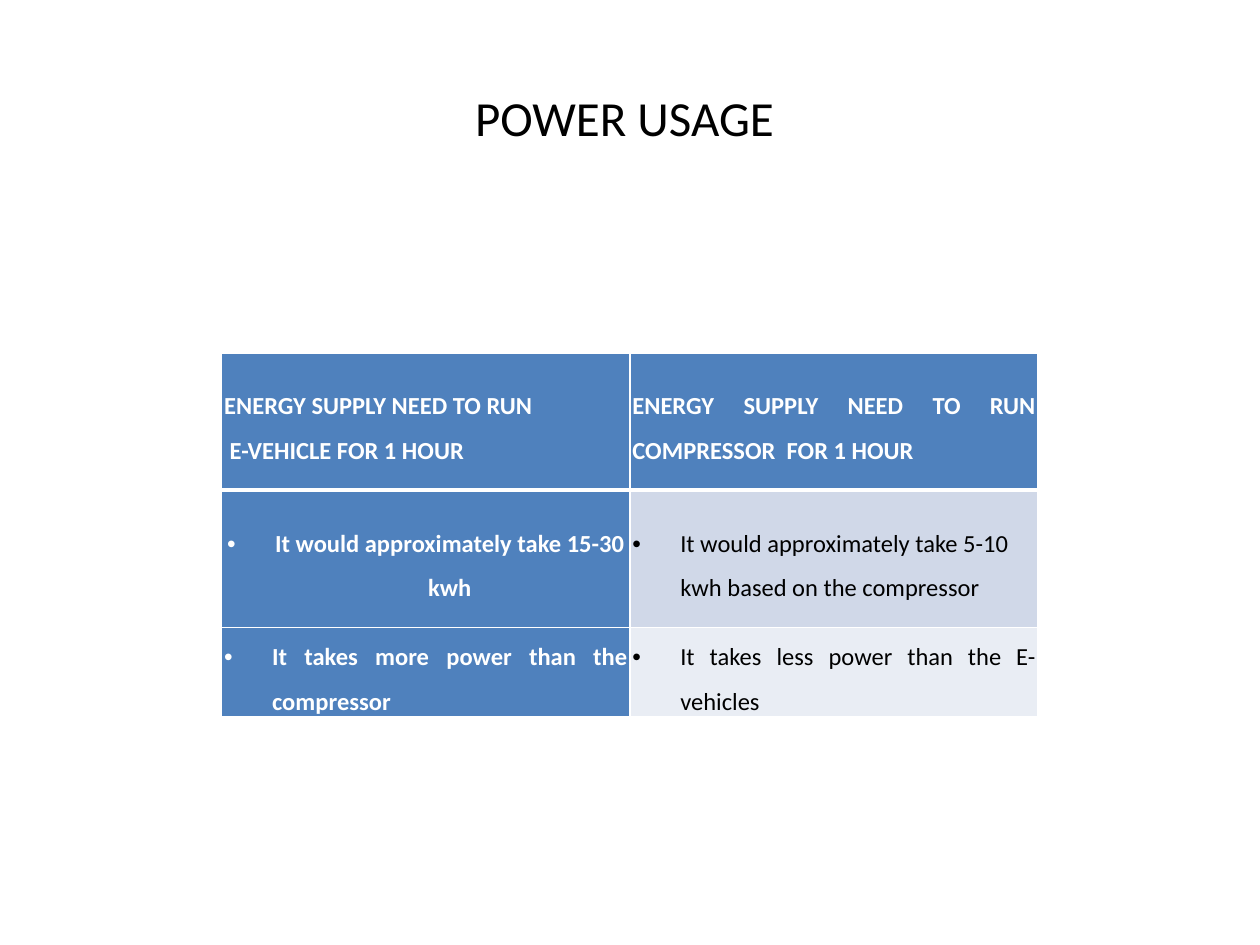
from lxml import etree
from pptx import Presentation
from pptx.dml.color import RGBColor
from pptx.enum import text as t
from pptx.oxml import ns
from pptx.util import Inches, Pt

LEFT, MID, JUST = t.PP_ALIGN.LEFT, t.PP_ALIGN.CENTER, t.PP_ALIGN.JUSTIFY
BLUE, WHITE, BLACK = "4F81BD", "FFFFFF", "000000"
TITLE = "POWER USAGE "
ROWS = [
    [("ENERGY SUPPLY NEED TO RUN\n E-VEHICLE FOR 1 HOUR", JUST, BLUE),
     ("ENERGY SUPPLY NEED TO RUN COMPRESSOR  FOR 1 HOUR", JUST, BLUE)],
    [("It would approximately take 15-30 kwh", MID, BLUE),
     ("It would approximately take 5-10 kwh based on the compressor", LEFT, "D0D8E8")],
    [("It takes more power than the compressor", JUST, BLUE),
     ("It takes less power than the E-vehicles", JUST, "E9EDF4")],
]
HEIGHTS = [1.09, 1.09, 0.55]
WIDTH = 3.24
INDENT = Inches(0.38)


def paint(fill, color):
    fill.solid()
    fill.fore_color.rgb = RGBColor.from_string(color)


def style(par, size, color, align, bold=False):
    par.alignment = align
    for run in par.runs:
        font = run.font
        font.name, font.size, font.bold = "Calibri", Pt(size), bold
        paint(font.fill, color)


def add(parent, tag, **attrs):
    return etree.SubElement(parent, ns.qn(tag), {k: str(v) for k, v in attrs.items()})


def border(cell, side, width):
    line = add(cell._tc.get_or_add_tcPr(), "a:ln" + side, w=Pt(width))
    add(add(line, "a:solidFill"), "a:srgbClr", val=WHITE)


def bullet(par):
    props = par._p.get_or_add_pPr()
    props.set("marL", str(INDENT))
    props.set("indent", str(-INDENT))
    add(props, "a:buFont", typeface="Arial")
    add(props, "a:buChar", char="•")


def fill_cell(cell, item, head):
    words, align, back = item
    for side in "LRTB":
        border(cell, side, 3 if head and side == "B" else 1)
    paint(cell.fill, back)
    cell.vertical_anchor = t.MSO_ANCHOR.MIDDLE
    cell.margin_left = cell.margin_right = Inches(0.02)
    cell.margin_top = cell.margin_bottom = 0
    cell.text_frame.text = words
    strong = back == BLUE
    for par in cell.text_frame.paragraphs:
        style(par, 14, WHITE if strong else BLACK, align, strong)
        par.line_spacing = 1.5
        if not head:
            bullet(par)


def main():
    prs = Presentation()
    prs.slide_width, prs.slide_height = Inches(10), Inches(7.5)
    slide = prs.slides.add_slide(prs.slide_layouts[5])
    title = slide.shapes.title
    title.left, title.top = Inches(0.5), Inches(0.3)
    title.width, title.height = Inches(9), Inches(1.25)
    title.text_frame.text = TITLE
    title.text_frame.vertical_anchor = t.MSO_ANCHOR.MIDDLE
    style(title.text_frame.paragraphs[0], 28, BLACK, MID)

    table = slide.shapes.add_table(
        len(ROWS), 2, Inches(1.76), Inches(2.8),
        Inches(2 * WIDTH), Inches(sum(HEIGHTS))).table
    for col in table.columns:
        col.width = Inches(WIDTH)
    for r, (row, height) in enumerate(zip(ROWS, HEIGHTS)):
        table.rows[r].height = Inches(height)
        for c, item in enumerate(row):
            fill_cell(table.cell(r, c), item, r == 0)
    prs.save("out.pptx")


if __name__ == "__main__":
    main()
